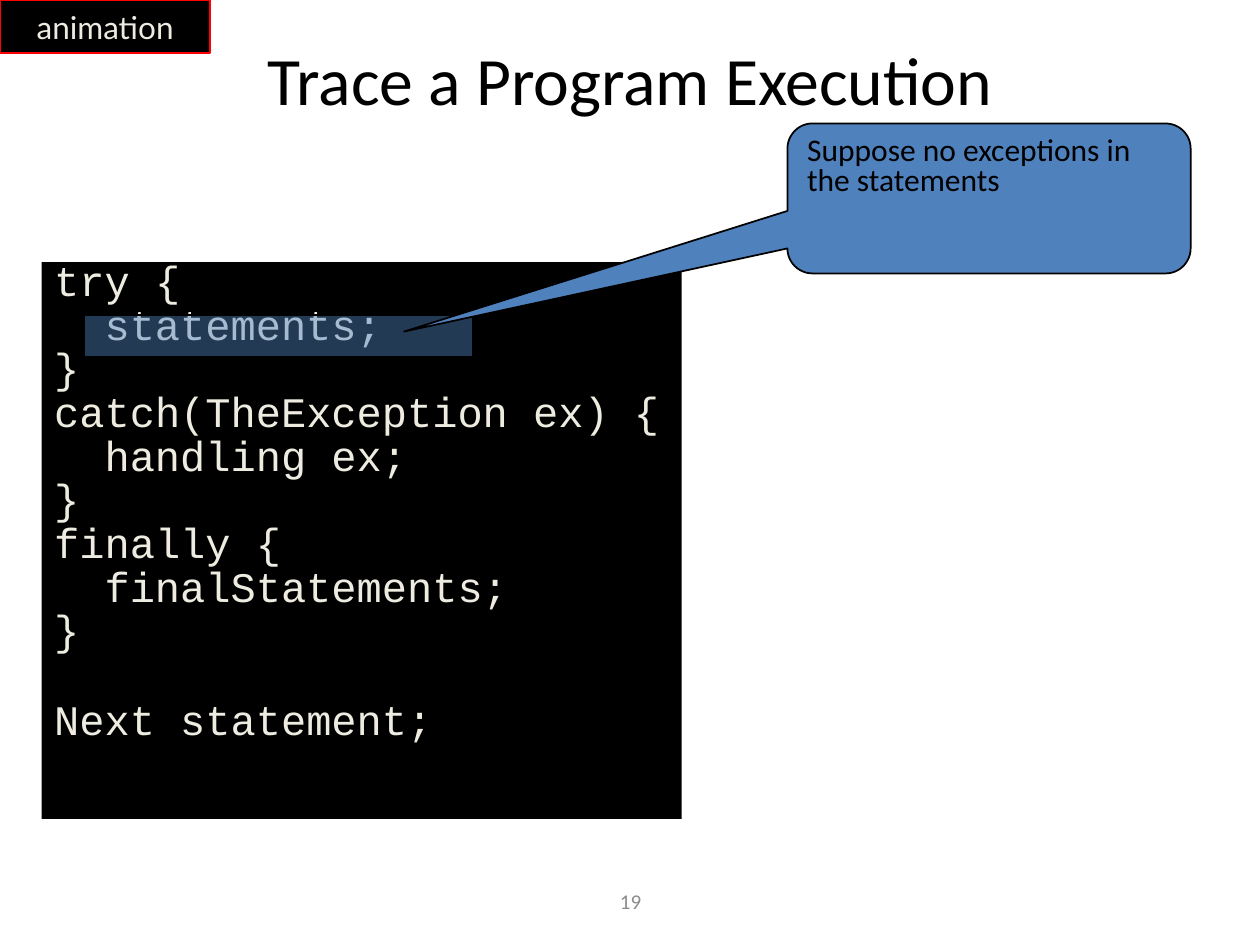
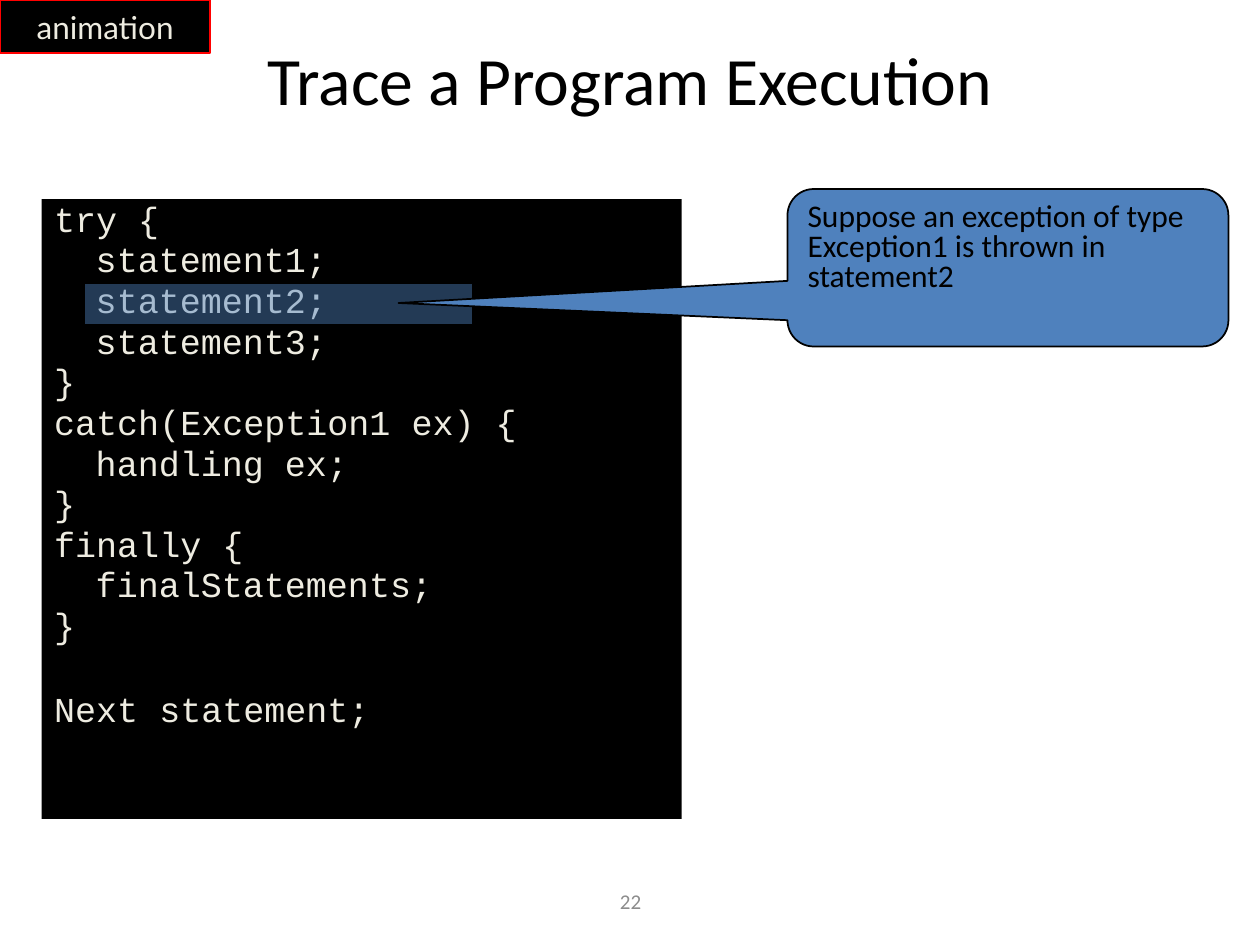
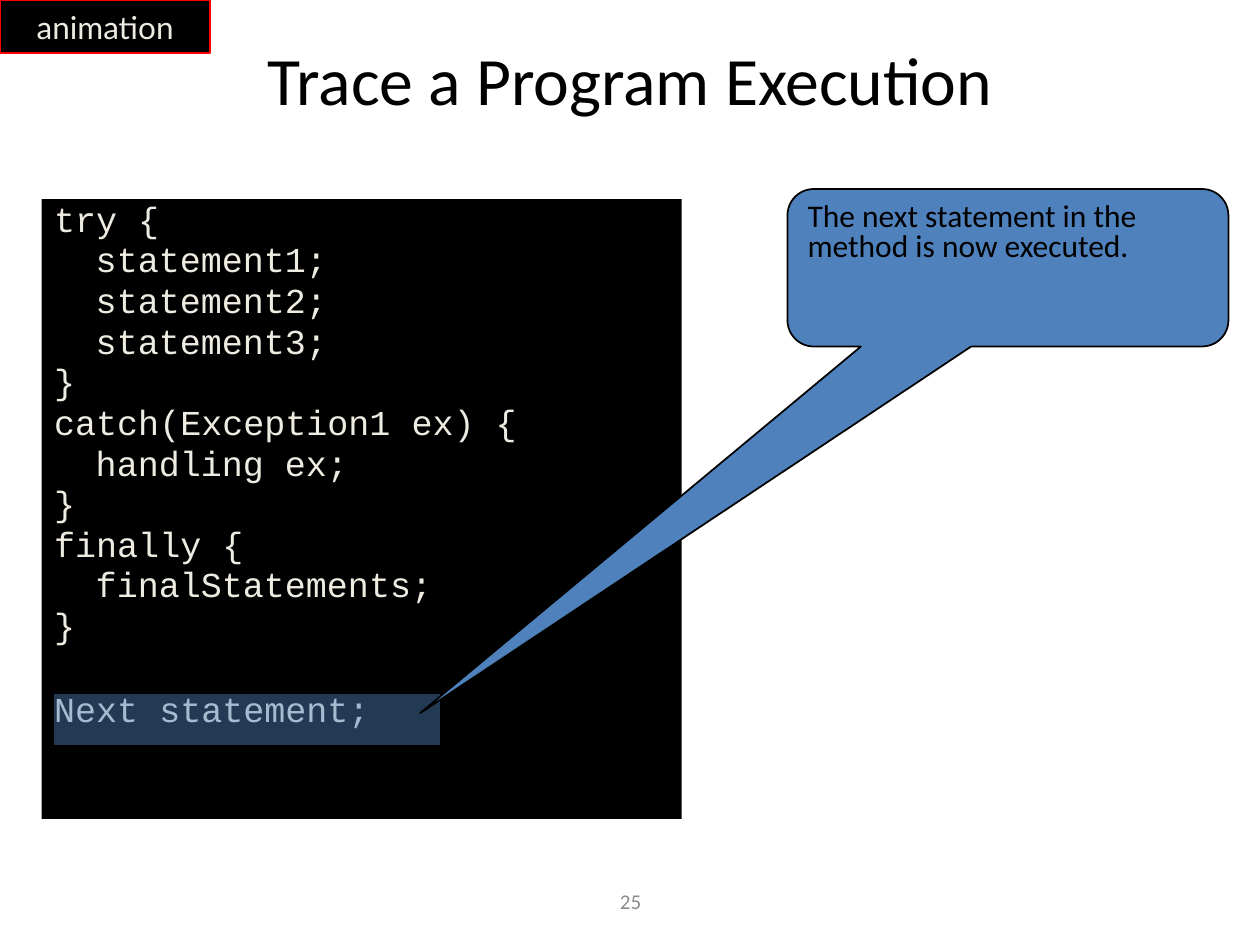
from dataclasses import dataclass
from typing import Any, NamedTuple

from lxml.etree import SubElement
from pptx import Presentation
from pptx.dml.color import RGBColor
from pptx.enum.shapes import MSO_SHAPE
from pptx.enum.text import MSO_ANCHOR, MSO_AUTO_SIZE, PP_ALIGN
from pptx.oxml.ns import qn
from pptx.util import Inches, Pt

BLACK = RGBColor(0x00, 0x00, 0x00)
RED = RGBColor(0xFF, 0x00, 0x00)
BLUE = RGBColor(0x4F, 0x81, 0xBD)
CREAM = RGBColor(0xEE, 0xEC, 0xE1)
GRAY = RGBColor(0x8C, 0x8C, 0x8C)

TITLE = "Trace a Program Execution"
BODY_FONT = "Calibri"
CODE_FONT = "Courier New"
HANGING = 0.38
HIGHLIGHT_OPACITY = 45
CALLOUT_ROUNDING = 0.167


class Area(NamedTuple):
    left: float
    top: float
    width: float
    height: float


class CodeLine(NamedTuple):
    text: str
    level: int = 0
    after_gap: bool = False


@dataclass(frozen=True)
class CodeStyle:
    area: Area
    size: float
    line_spacing: float
    indent_step: float
    gap_before: float


@dataclass(frozen=True)
class TraceStep:
    number: int
    lines: tuple[CodeLine, ...]
    style: CodeStyle
    highlight: Area
    callout: Area
    pointer: tuple[float, float]
    message: str


TITLE_AREA = Area(0.75, 0.33, 8.5, 0.58)
BADGE_AREA = Area(0, 0, 1.67, 0.42)
NUMBER_AREA = Area(3.42, 6.95, 3.17, 0.4)
WIDE_CALLOUT = Area(6.25, 1.5, 3.5, 1.25)

LARGE_CODE = CodeStyle(Area(0.33, 2.08, 5.08, 4.42), 24, 0.7, 0.4, 30.8)
SMALL_CODE = CodeStyle(Area(0.33, 1.58, 5.08, 4.92), 20, 0.8, 0.33, 28.5)


def try_program(statements: tuple[str, ...], exception: str) -> tuple[CodeLine, ...]:
    return (
        CodeLine("try {"),
        *(CodeLine(statement, 1) for statement in statements),
        CodeLine("}"),
        CodeLine(f"catch({exception} ex) {{"),
        CodeLine("handling ex;", 1),
        CodeLine("}"),
        CodeLine("finally {"),
        CodeLine("finalStatements;", 1),
        CodeLine("}"),
        CodeLine("Next statement;", after_gap=True),
    )


PLAIN_PROGRAM = try_program(("statements;",), "TheException")
THROWING_PROGRAM = try_program(
    ("statement1;", "statement2;", "statement3;"), "Exception1"
)

STEPS = (
    TraceStep(
        19, PLAIN_PROGRAM, LARGE_CODE,
        Area(0.67, 2.5, 3.08, 0.33), Area(6.25, 0.98, 3.2, 1.19),
        (-1.451, 0.888), "Suppose no exceptions in the statements",
    ),
    TraceStep(
        22, THROWING_PROGRAM, SMALL_CODE,
        Area(0.67, 2.25, 3.08, 0.33), WIDE_CALLOUT,
        (-1.382, 0.224),
        "Suppose an exception of type Exception1 is thrown in statement2",
    ),
    TraceStep(
        25, THROWING_PROGRAM, SMALL_CODE,
        Area(0.42, 5.5, 3.08, 0.42), WIDE_CALLOUT,
        (-1.333, 2.828), "The next statement in the method is now executed.",
    ),
)


def set_values(target: Any, values: dict[str, Any]) -> None:
    for name, value in values.items():
        setattr(target, name, value)


def place(shape: Any, area: Area) -> None:
    set_values(
        shape, {name: Inches(value) for name, value in area._asdict().items()}
    )


def write(paragraph: Any, text: str, font: str, size: float, color: RGBColor) -> None:
    span = paragraph.add_run()
    span.text = text
    set_values(span.font, {"name": font, "size": Pt(size)})
    span.font.color.rgb = color


def add_box(
    page: Any, kind: MSO_SHAPE, area: Area, fill: RGBColor, outline: RGBColor
) -> Any:
    box = page.shapes.add_shape(kind, *map(Inches, area))
    box.shadow.inherit = False
    box.fill.solid()
    box.fill.fore_color.rgb = fill
    box.line.color.rgb = outline
    box.line.width = Pt(1)
    return box


def add_title(page: Any) -> None:
    title = page.shapes.title
    place(title, TITLE_AREA)
    set_values(
        title.text_frame,
        {"auto_size": MSO_AUTO_SIZE.NONE, "vertical_anchor": MSO_ANCHOR.MIDDLE},
    )
    paragraph = title.text_frame.paragraphs[0]
    paragraph.alignment = PP_ALIGN.CENTER
    write(paragraph, TITLE, BODY_FONT, 38.7, BLACK)


def add_badge(page: Any) -> None:
    badge = add_box(page, MSO_SHAPE.RECTANGLE, BADGE_AREA, BLACK, RED)
    badge.text_frame.word_wrap = False
    paragraph = badge.text_frame.paragraphs[0]
    paragraph.alignment = PP_ALIGN.CENTER
    write(paragraph, "animation", "Lato", 18, CREAM)


def add_page_number(page: Any, number: int) -> None:
    box = page.shapes.add_textbox(*map(Inches, NUMBER_AREA))
    set_values(
        box.text_frame, {"word_wrap": True, "vertical_anchor": MSO_ANCHOR.MIDDLE}
    )
    paragraph = box.text_frame.paragraphs[0]
    paragraph.alignment = PP_ALIGN.CENTER
    write(paragraph, str(number), BODY_FONT, 12, GRAY)


def add_code(page: Any, lines: tuple[CodeLine, ...], style: CodeStyle) -> None:
    body = page.placeholders[1]
    place(body, style.area)
    body.fill.solid()
    body.fill.fore_color.rgb = BLACK
    frame = body.text_frame
    frame.auto_size = MSO_AUTO_SIZE.NONE
    for index, line in enumerate(lines):
        paragraph = frame.add_paragraph() if index else frame.paragraphs[0]
        paragraph.line_spacing = style.line_spacing
        if line.after_gap:
            paragraph.space_before = Pt(style.gap_before)
        properties = paragraph._p.get_or_add_pPr()
        margin = HANGING + line.level * style.indent_step
        properties.set("marL", str(Inches(margin)))
        properties.set("indent", str(Inches(-HANGING)))
        SubElement(properties, qn("a:buNone"))
        write(paragraph, line.text, CODE_FONT, style.size, CREAM)


def add_highlight(page: Any, area: Area) -> None:
    box = add_box(page, MSO_SHAPE.RECTANGLE, area, BLUE, BLACK)
    color = box._element.spPr.find(qn("a:solidFill")).find(qn("a:srgbClr"))
    SubElement(color, qn("a:alpha"), val=str(HIGHLIGHT_OPACITY * 1000))


def add_callout(
    page: Any, area: Area, pointer: tuple[float, float], message: str
) -> None:
    box = add_box(page, MSO_SHAPE.ROUNDED_RECTANGULAR_CALLOUT, area, BLUE, BLACK)
    for index, value in enumerate((*pointer, CALLOUT_ROUNDING)):
        box.adjustments[index] = value
    set_values(
        box.text_frame, {"word_wrap": True, "vertical_anchor": MSO_ANCHOR.TOP}
    )
    paragraph = box.text_frame.paragraphs[0]
    set_values(
        paragraph,
        {"alignment": PP_ALIGN.LEFT, "line_spacing": 0.8, "space_before": Pt(3.6)},
    )
    write(paragraph, message, BODY_FONT, 18, BLACK)


def add_trace_page(deck: Any, step: TraceStep) -> None:
    page = deck.slides.add_slide(deck.slide_layouts[1])
    add_page_number(page, step.number)
    add_title(page)
    add_badge(page)
    add_code(page, step.lines, step.style)
    add_highlight(page, step.highlight)
    add_callout(page, step.callout, step.pointer, step.message)


def main() -> None:
    deck = Presentation()
    set_values(deck, {"slide_width": Inches(10), "slide_height": Inches(7.5)})
    for step in STEPS:
        add_trace_page(deck, step)
    deck.save("out.pptx")


if __name__ == "__main__":
    main()
